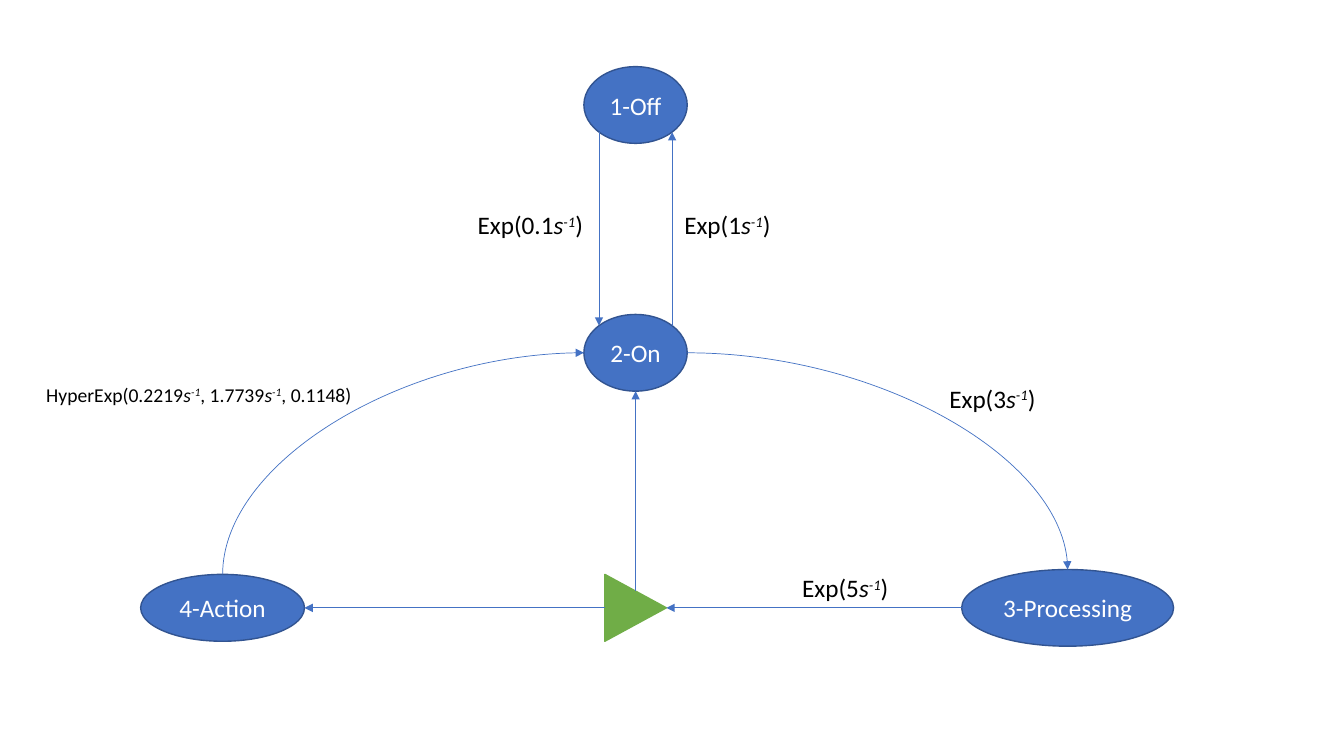
from math import sqrt

from lxml import etree
from pptx import Presentation
from pptx.dml.color import RGBColor
from pptx.enum.shapes import MSO_CONNECTOR, MSO_SHAPE
from pptx.enum.text import MSO_ANCHOR, MSO_AUTO_SIZE, PP_ALIGN
from pptx.oxml.ns import qn
from pptx.util import Pt

ELLIPSE = MSO_SHAPE.OVAL
TRIANGLE = MSO_SHAPE.ISOSCELES_TRIANGLE
STRAIGHT = MSO_CONNECTOR.STRAIGHT
CURVE = MSO_CONNECTOR.CURVE
MIDDLE = MSO_ANCHOR.MIDDLE
CENTER = PP_ALIGN.CENTER
FIT_SHAPE = MSO_AUTO_SIZE.SHAPE_TO_FIT_TEXT

BLUE, DARK_BLUE, GREEN = "4472C4", "325491", "70AD47"
WHITE, BLACK = "FFFFFF", "000000"
AXIS_X, BASE_Y = 454, 434.2
STATES = {
    "1-Off": (AXIS_X, 75, 73.8, 54.8),
    "2-On": (AXIS_X, 252, 73.8, 54.8),
    "3-Processing": (762.6, BASE_Y, 151.4, 54.8),
    "4-Action": (159, BASE_Y, 117, 47.8),
}
BRANCH_WIDTH, BRANCH_HEIGHT = 47.8, 44
RATE_LABELS = [
    (["Exp(0.1", ")"], (334.1, 146.2, 91.4, 29.1), 18, False),
    (["Exp(1", ")"], (481.7, 146.2, 77.8, 29.1), 18, False),
    (["Exp(3", ")"], (671, 270.2, 77.8, 29.1), 18, False),
    (["Exp(5", ")"], (565.9, 405.4, 77.8, 29.1), 18, False),
    (["HyperExp(0.2219", ", 1.7739", ", 0.1148)"],
     (25.9, 270.2, 258.5, 24.5), 14, True),
]


def rgb(code):
    return RGBColor.from_string(code)


def add_run(paragraph, text, size, color, italic=False, baseline=None):
    run = paragraph.add_run()
    run.text = text
    font_values = {"name": "Calibri", "size": Pt(size), "italic": italic}
    for name, value in font_values.items():
        setattr(run.font, name, value)
    run.font.color.rgb = rgb(color)
    if baseline:
        run.font._element.set("baseline", str(baseline))


def add_figure(slide, kind, center_x, center_y, width, height, fill, outline):
    figure = slide.shapes.add_shape(
        kind, Pt(center_x - width / 2), Pt(center_y - height / 2),
        Pt(width), Pt(height))
    figure.shadow.inherit = False
    figure.fill.solid()
    figure.fill.fore_color.rgb = rgb(fill)
    figure.line.color.rgb = rgb(outline)
    figure.line.width = Pt(1)
    return figure


def add_state(slide, name, place):
    frame = add_figure(slide, ELLIPSE, *place, BLUE, DARK_BLUE).text_frame
    for attribute, value in {"word_wrap": True, "vertical_anchor": MIDDLE}.items():
        setattr(frame, attribute, value)
    paragraph = frame.paragraphs[0]
    paragraph.alignment = CENTER
    add_run(paragraph, name, 18, WHITE)


def add_arrow(slide, start, end, kind=STRAIGHT):
    arrow = slide.shapes.add_connector(kind, *map(Pt, (*start, *end)))
    arrow.line.color.rgb = rgb(BLUE)
    arrow.line.width = Pt(0.5)
    etree.SubElement(arrow.line._get_or_add_ln(), qn("a:tailEnd"), type="triangle")
    etree.SubElement(arrow._element.spPr, qn("a:effectLst"))
    return arrow


def add_quarter_arc(slide, start, end, vertical_first=False):
    if vertical_first:
        middle_x, middle_y = [(a + b) / 2 for a, b in zip(start, end)]
        start, end = [(middle_x + y - middle_y, middle_y - x + middle_x)
                      for x, y in (start, end)]
    properties = add_arrow(slide, start, end, CURVE)._element.spPr
    properties.find(qn("a:prstGeom")).set("prst", "curvedConnector2")
    if vertical_first:
        properties.find(qn("a:xfrm")).set("rot", "5400000")


def add_rate_label(slide, parts, place, size, wrap):
    frame = slide.shapes.add_textbox(*map(Pt, place)).text_frame
    for attribute, value in {"word_wrap": wrap, "auto_size": FIT_SHAPE}.items():
        setattr(frame, attribute, value)
    paragraph = frame.paragraphs[0]
    add_run(paragraph, parts[0], size, BLACK)
    for part in parts[1:]:
        add_run(paragraph, "s", size, BLACK, italic=True)
        add_run(paragraph, "-1", size, BLACK, italic=True, baseline=30000)
        add_run(paragraph, part, size, BLACK)


def rim(state, across, down):
    x, y, width, height = STATES[state]
    reach = 1 / sqrt(across ** 2 + down ** 2)
    return x + across * reach * width / 2, y + down * reach * height / 2


def main():
    deck = Presentation()
    deck.slide_width, deck.slide_height = Pt(960), Pt(540)
    slide = deck.slides.add_slide(deck.slide_layouts[6])

    for name, place in STATES.items():
        add_state(slide, name, place)

    add_arrow(slide, rim("1-Off", -1, 1), rim("2-On", -1, -1))
    add_arrow(slide, rim("2-On", 1, -1), rim("1-Off", 1, 1))
    add_quarter_arc(slide, rim("4-Action", 0, -1), rim("2-On", -1, 0), True)
    branch = add_figure(slide, TRIANGLE, AXIS_X, BASE_Y,
                        BRANCH_WIDTH, BRANCH_HEIGHT, GREEN, GREEN)
    branch.rotation = 90
    add_quarter_arc(slide, rim("2-On", 1, 0), rim("3-Processing", 0, -1))

    half = BRANCH_HEIGHT / 2
    add_arrow(slide, rim("3-Processing", -1, 0), (AXIS_X + half, BASE_Y))
    add_arrow(slide, (AXIS_X, BASE_Y - BRANCH_WIDTH / 4), rim("2-On", 0, 1))
    add_arrow(slide, (AXIS_X - half, BASE_Y), rim("4-Action", 1, 0))

    for parts, place, size, wrap in RATE_LABELS:
        add_rate_label(slide, parts, place, size, wrap)

    deck.save("out.pptx")


if __name__ == "__main__":
    main()
